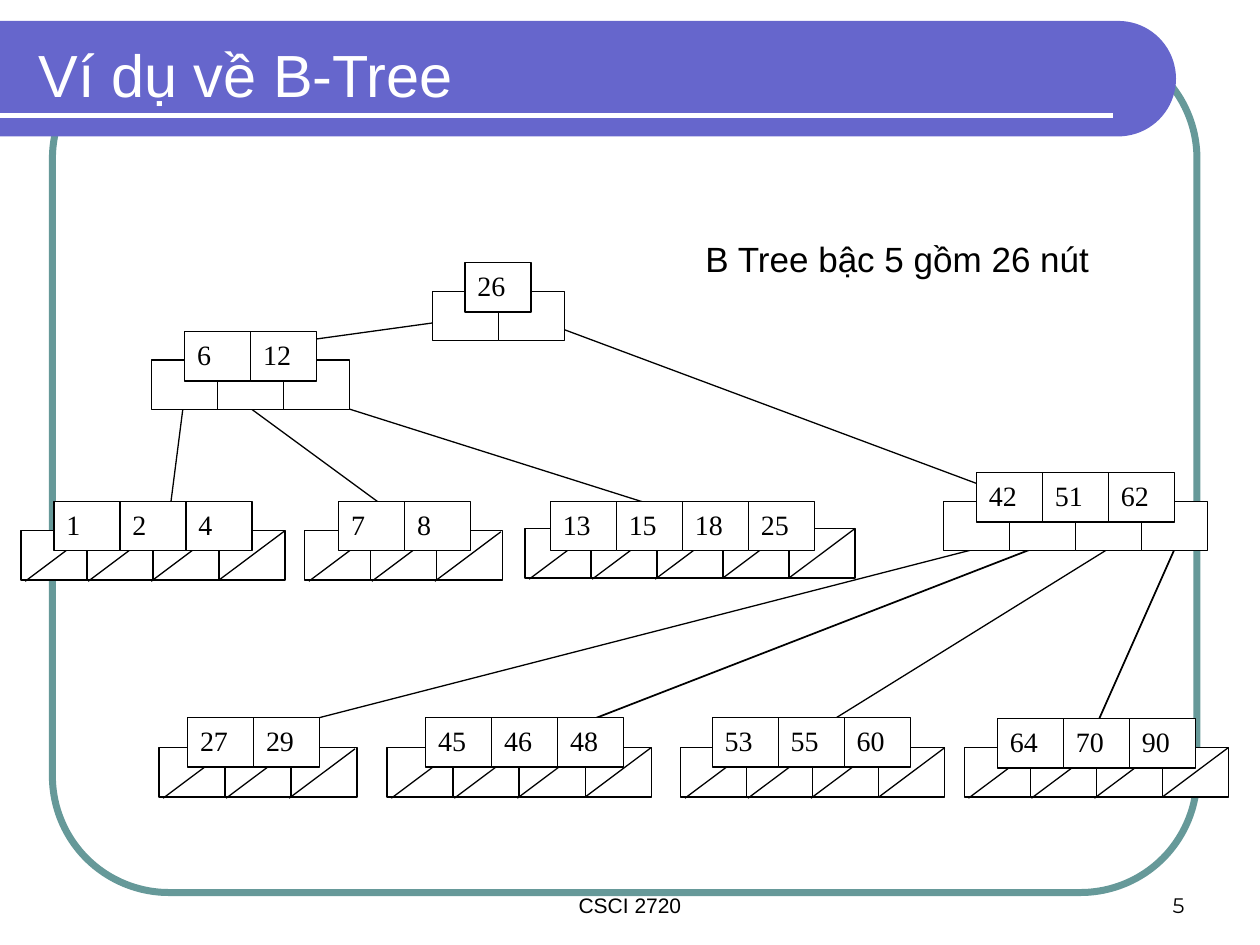
"""Build a slide that shows a B-tree of order five."""
from dataclasses import dataclass
from math import cos, pi, sin

from lxml import etree
from pptx import Presentation
from pptx.dml.color import RGBColor
from pptx.enum.shapes import MSO_CONNECTOR, MSO_SHAPE
from pptx.enum.text import MSO_ANCHOR, PP_ALIGN
from pptx.oxml.ns import qn
from pptx.util import Pt

RECT, ROUND = MSO_SHAPE.RECTANGLE, MSO_SHAPE.ROUNDED_RECTANGLE
LINE = MSO_CONNECTOR.STRAIGHT
TOP, MID, LOW = MSO_ANCHOR.TOP, MSO_ANCHOR.MIDDLE, MSO_ANCHOR.BOTTOM
LEFT, MIDDLE, RIGHT = PP_ALIGN.LEFT, PP_ALIGN.CENTER, PP_ALIGN.RIGHT


@dataclass(frozen=True)
class Theme:
    """Colours, fonts and type sizes."""
    ink: str = "000000"
    paper: str = "FFFFFF"
    band: str = "6666CC"
    frame: str = "669999"
    sans: str = "Arial"
    serif: str = "Times New Roman"
    digit: str = "Montserrat"
    head: int = 34
    note: int = 20
    key: int = 16
    foot: int = 12


T = Theme()
TITLE = "Ví dụ về B-Tree"
LABELS = [
    ("CSCI 2720", (246, 510, 228, 18), T.sans, T.foot, MIDDLE, LOW),
    ("5", (516, 504, 168, 24), T.digit, T.foot, RIGHT, LOW),
    ("B Tree bậc 5 gồm 26 nút", (396, 132, 252, 31.5), T.sans, T.note, LEFT, TOP),
]
INNER = [
    ((26,), (265.7, 150), (247, 166.4)),
    ((6, 12), (105.6, 189.4), (86.6, 205.8)),
    ((42, 51, 62), (558, 270), (539.2, 286.5)),
]
LEAVES = [
    ((1, 2, 4), (30.8, 286.5), (12, 303.2)),
    ((7, 8), (193.5, 286.5), (174.1, 303.2)),
    ((13, 15, 18, 25), (314.5, 286.5), (300, 302)),
    ((27, 29), (107.2, 410), (90.8, 427.2)),
    ((45, 46, 48), (243.3, 410), (221.2, 427.2)),
    ((53, 55, 60), (407, 410), (389, 427.2)),
    ((64, 70, 90), (570, 410.6), (551, 427.2)),
]
EDGES = [
    ((265.7, 182), (124.5, 201.5), 0.75),
    ((300, 180), (615, 297.5), 0.75),
    ((165.6, 223), (390, 294), 0.75),
    ((144, 234), (234, 300), 0.75),
    ((106, 222), (96, 300), 0.75),
    ((564, 312), (144, 420), 0.75),
    ((594, 312), (300, 426), 1),
    ((636, 312), (462, 420), 0.75),
    ((672, 312), (624, 420), 1),
]
WIDE, HIGH, STEP = 37.73, 28.25, 36


def color(code):
    return RGBColor.from_string(code)


def style(item, fill, line, width=0.75):
    item.shadow.inherit = False
    if fill:
        item.fill.solid()
        item.fill.fore_color.rgb = color(fill)
    else:
        item.fill.background()
    if line:
        item.line.color.rgb = color(line)
        item.line.width = Pt(width)
    else:
        item.line.fill.background()


def write(item, text, font, size, ink=T.ink, align=LEFT, anchor=TOP):
    frame = item.text_frame
    frame.text = text
    frame.word_wrap = True
    frame.vertical_anchor = anchor
    para = frame.paragraphs[0]
    para.alignment = align
    face = para.runs[0].font
    face.name, face.size = font, Pt(size)
    face.color.rgb = color(ink)


def join(shapes, start, end, ink=T.ink, width=0.75):
    line = shapes.add_connector(LINE, *map(Pt, start + end))
    line.line.color.rgb = color(ink)
    line.line.width = Pt(width)
    etree.SubElement(line.element.spPr, qn("a:effectLst"))


def row(shapes, spot, count):
    left, top = spot
    cells = []
    for i in range(count):
        box = (left + i * WIDE, top, WIDE, HIGH)
        cell = shapes.add_shape(RECT, *map(Pt, box))
        style(cell, T.paper, T.ink)
        cells.append(cell)
    return cells


def node(shapes, keys, spot, base, leaf):
    count = len(keys) + 1
    row(shapes, base, count)
    if leaf:
        for i in range(count):
            x, y = base
            if i < 3:
                x, y = x + 2.4 + i * STEP, y + 0.7
            else:
                x += i * WIDE
            join(shapes, (x + WIDE, y), (x, y + HIGH))
    for key, cell in zip(keys, row(shapes, spot, len(keys))):
        write(cell, str(key), T.serif, T.key)


def banner(shapes):
    frame = shapes.add_shape(ROUND, *map(Pt, (30, 24, 654, 486)))
    frame.adjustments[0] = 0.137
    style(frame, None, T.frame, 4)
    mid, reach, turn = 45, 33, 639
    arc = [(turn + reach * cos(a), mid + reach * sin(a))
           for a in (pi * (i / 40 - 0.5) for i in range(41))]
    path = shapes.build_freeform(0, Pt(mid - reach))
    path.add_line_segments([(Pt(x), Pt(y)) for x, y in arc] + [(0, Pt(mid + reach))])
    style(path.convert_to_shape(), T.band, None)
    join(shapes, (0, 66), (636, 66), T.paper, 3)


def main():
    deck = Presentation()
    deck.slide_width, deck.slide_height = Pt(720), Pt(540)
    slide = deck.slides.add_slide(deck.slide_layouts[5])
    shapes = slide.shapes
    title = shapes.title
    banner(shapes)
    title.element.getparent().append(title.element)
    title.left, title.top, title.width, title.height = map(Pt, (15, 18, 631.5, 48))
    write(title, TITLE, T.sans, T.head, T.paper, anchor=MID)
    for start, end, width in EDGES:
        join(shapes, start, end, width=width)
    for group, leaf in ((INNER, False), (LEAVES, True)):
        for keys, spot, base in group:
            node(shapes, keys, spot, base, leaf)
    for text, box, font, size, align, anchor in LABELS:
        label = shapes.add_textbox(*map(Pt, box))
        write(label, text, font, size, align=align, anchor=anchor)
    deck.save("out.pptx")


if __name__ == "__main__":
    main()
